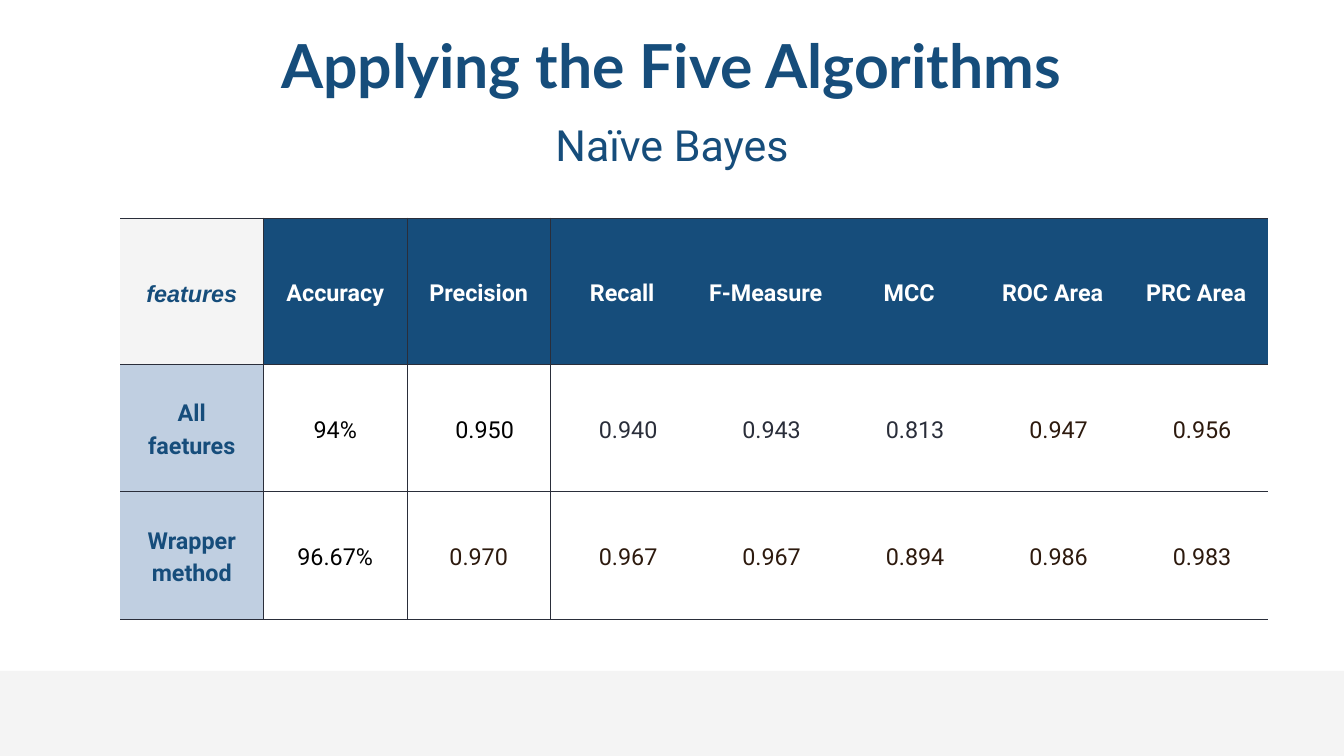
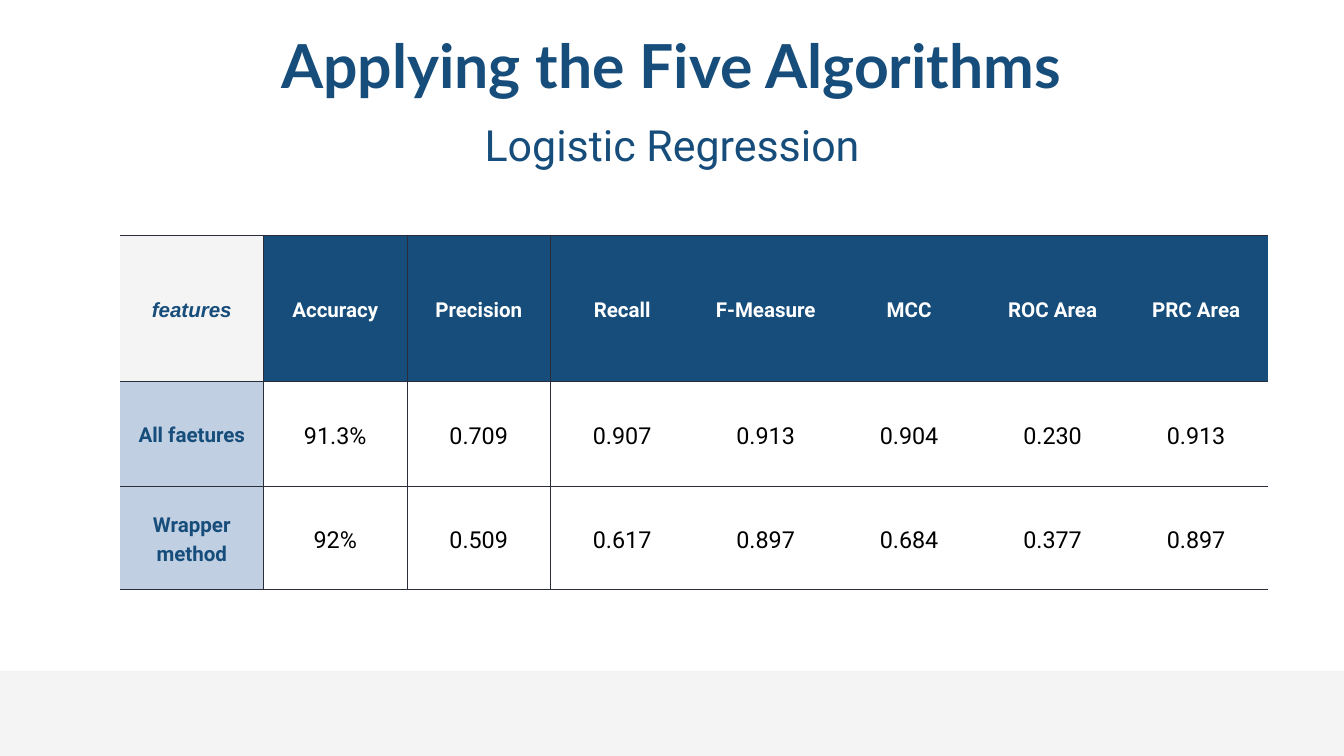
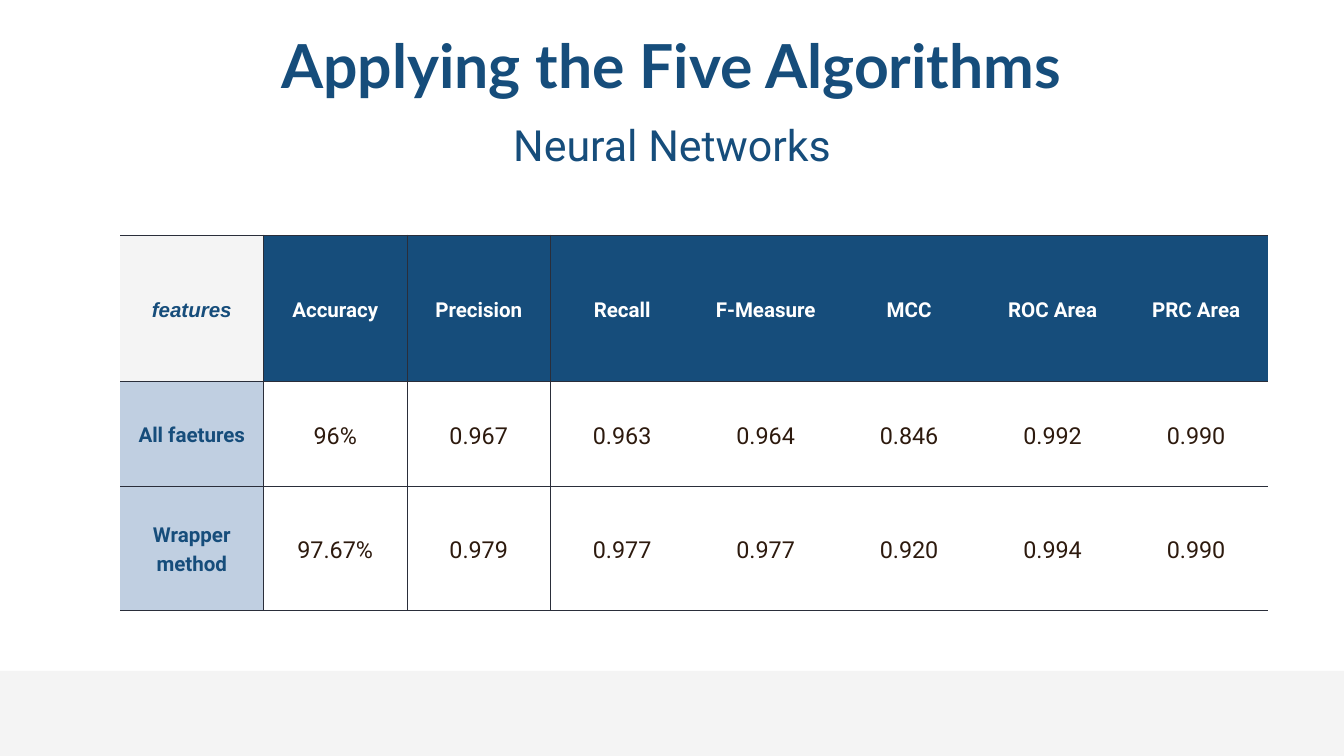
from pptx import Presentation
from pptx.dml.color import RGBColor
from pptx.enum.shapes import MSO_SHAPE
from pptx.enum.text import MSO_ANCHOR, PP_ALIGN
from pptx.oxml.ns import qn
from pptx.util import Pt
from lxml.etree import SubElement

SCALE = 914400 / 67.2
COLORS = {
    "navy": "164D7B",
    "pale": "F4F4F4",
    "label": "C0CFE1",
    "border": "2A2E3A",
    "brown": "2D1A0E",
    "black": "000000",
    "white": "FFFFFF",
}
HEADERS = ["features", "Accuracy", "Precision", "Recall", "F-Measure", "MCC", "ROC Area", "PRC Area"]
LABELS = ["All faetures", "Wrapper method"]
TABLE_LEFT, TABLE_WIDTH = 120, 1148
CELL_MARGIN, SHIFTED_MARGIN = 14, 26

RESULTS = [
    {
        "algorithm": "Naïve Bayes",
        "top": 218,
        "rows": [146, 127, 128],
        "header_size": 25,
        "values": [
            ["94%", "0.950", "0.940", "0.943", "0.813", "0.947", "0.956"],
            ["96.67%", "0.970", "0.967", "0.967", "0.894", "0.986", "0.983"],
        ],
        "colors": [
            ["black"] * 2 + ["border"] * 3 + ["brown"] * 2,
            ["black"] + ["brown"] * 6,
        ],
        "shifted_from": [2, 3],
    },
    {
        "algorithm": "Logistic Regression",
        "top": 235,
        "rows": [146, 105, 103],
        "header_size": 22,
        "values": [
            ["91.3%", "0.709", "0.907", "0.913", "0.904", "0.230", "0.913"],
            ["92%", "0.509", "0.617", "0.897", "0.684", "0.377", "0.897"],
        ],
        "colors": [["black"] * 7] * 2,
        "shifted_from": [8, 8],
    },
    {
        "algorithm": "Neural Networks",
        "top": 235,
        "rows": [146, 105, 124],
        "header_size": 22,
        "values": [
            ["96%", "0.967", "0.963", "0.964", "0.846", "0.992", "0.990"],
            ["97.67%", "0.979", "0.977", "0.977", "0.920", "0.994", "0.990"],
        ],
        "colors": [["brown"] * 7] * 2,
        "shifted_from": [8, 8],
    },
]


def px(length):
    return round(length * SCALE)


def write(text_frame, text, size, color, line_spacing, font="Roboto", bold=False, italic=False):
    text_frame.word_wrap = True
    paragraph = text_frame.paragraphs[0]
    paragraph.text = text
    paragraph.alignment = PP_ALIGN.CENTER
    paragraph.line_spacing = Pt(line_spacing)
    paragraph.font.name = font
    paragraph.font.size = Pt(size)
    paragraph.font.bold = bold
    paragraph.font.italic = italic
    paragraph.font.color.rgb = RGBColor.from_string(COLORS[color])


presentation = Presentation()
presentation.slide_width = px(1344)
presentation.slide_height = px(756)

for result in RESULTS:
    slide = presentation.slides.add_slide(presentation.slide_layouts[6])

    band = slide.shapes.add_shape(MSO_SHAPE.RECTANGLE, 0, px(671), px(1344), px(85))
    band.shadow.inherit = False
    band.fill.solid()
    band.fill.fore_color.rgb = RGBColor.from_string(COLORS["pale"])
    band.line.fill.background()

    headings = [
        ("Applying the Five Algorithms", 192, 22, 959, 76, 65, 84.5, "Lato", True),
        (result["algorithm"], 239, 110, 866, 56, 46, 64.4, "Roboto", False),
    ]
    for text, left, top, width, height, size, spacing, font, bold in headings:
        box = slide.shapes.add_textbox(px(left), px(top), px(width), px(height))
        frame = box.text_frame
        frame.margin_left = frame.margin_top = frame.margin_right = frame.margin_bottom = 0
        write(frame, text, size, "navy", spacing, font, bold)

    table = slide.shapes.add_table(
        3, 8, px(TABLE_LEFT), px(result["top"]), px(TABLE_WIDTH), px(sum(result["rows"]))
    ).table
    table.first_row = False
    table.horz_banding = False
    for column in table.columns:
        column.width = px(TABLE_WIDTH / len(HEADERS))
    for row, height in zip(table.rows, result["rows"]):
        row.height = px(height)

    contents = [HEADERS] + [[label] + values for label, values in zip(LABELS, result["values"])]
    for row_index, texts in enumerate(contents):
        for column_index, text in enumerate(texts):
            cell = table.cell(row_index, column_index)
            is_header = row_index == 0
            is_label = column_index == 0
            is_value = not is_header and not is_label
            cell.vertical_anchor = MSO_ANCHOR.MIDDLE
            cell.margin_left = cell.margin_right = px(CELL_MARGIN)
            cell.margin_top = cell.margin_bottom = px(CELL_MARGIN)
            if is_value and column_index >= result["shifted_from"][row_index - 1]:
                cell.margin_left = px(SHIFTED_MARGIN)

            visible = {"L": 1 <= column_index <= 3, "R": column_index <= 2, "T": True, "B": True}
            properties = cell._tc.get_or_add_tcPr()
            for side, shown in visible.items():
                line = SubElement(properties, qn(f"a:ln{side}"), w=str(Pt(0.75)))
                if shown:
                    fill = SubElement(line, qn("a:solidFill"))
                    SubElement(fill, qn("a:srgbClr"), val=COLORS["border"])
                else:
                    SubElement(line, qn("a:noFill"))

            if is_value:
                cell.fill.background()
                color = result["colors"][row_index - 1][column_index - 1]
            else:
                cell.fill.solid()
                background = "label" if not is_header else "pale" if is_label else "navy"
                cell.fill.fore_color.rgb = RGBColor.from_string(COLORS[background])
                color = "navy" if is_label else "white"

            is_corner = is_header and is_label
            size = 25 if is_value else result["header_size"]
            font = "Arial" if is_corner else "Roboto"
            write(cell.text_frame, text, size, color, size * 1.4, font, not is_value, is_corner)

presentation.save("out.pptx")
